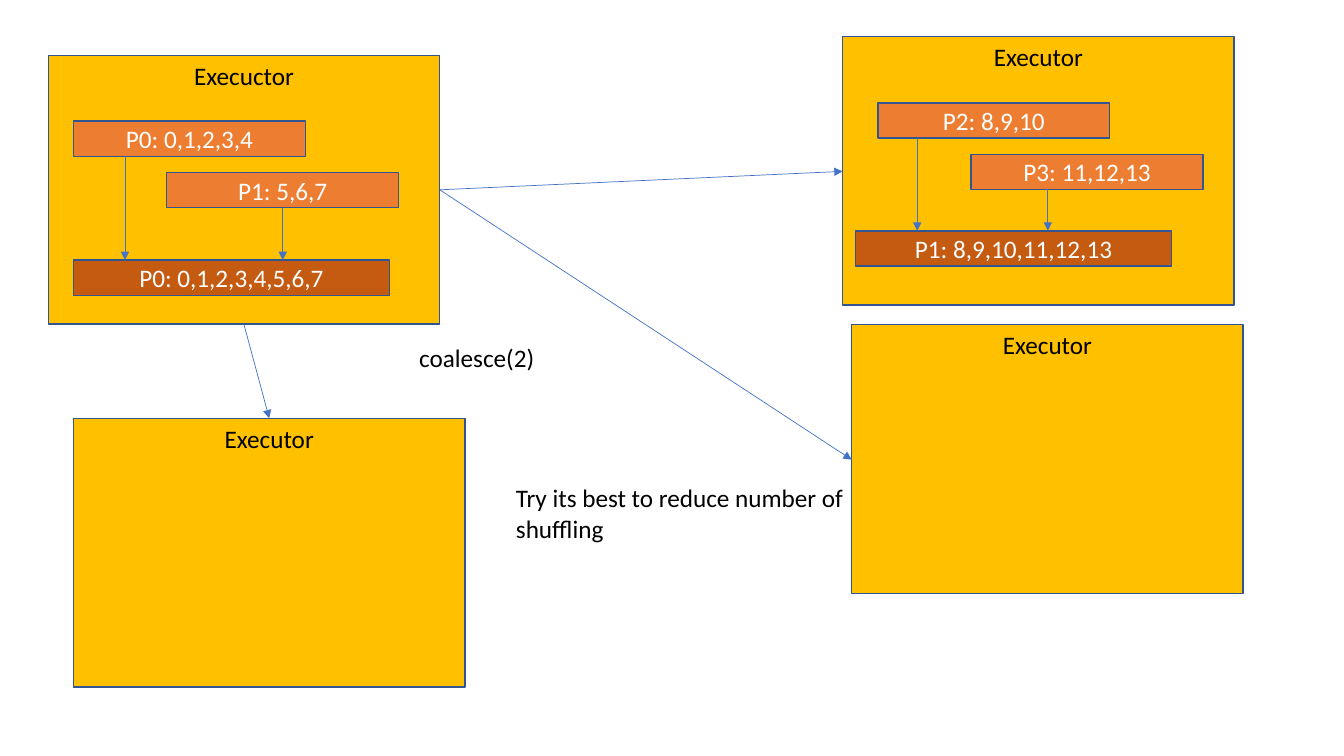
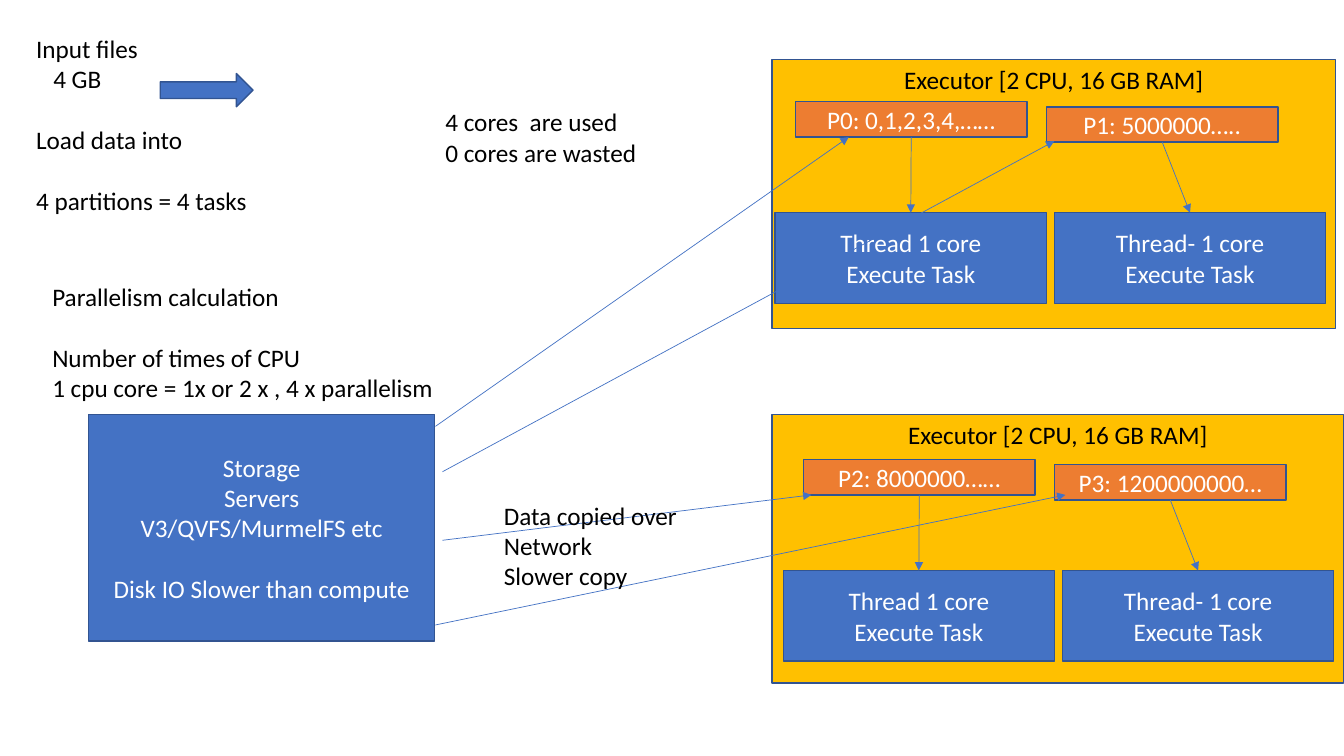
from dataclasses import dataclass

from lxml.etree import SubElement
from pptx import Presentation
from pptx.dml.color import RGBColor
from pptx.enum.shapes import MSO_CONNECTOR, MSO_SHAPE
from pptx.enum.text import MSO_ANCHOR, PP_ALIGN
from pptx.oxml.ns import qn
from pptx.util import Inches, Pt

WIDTH, HEIGHT = Inches(13.333), Inches(7.5)
COLUMN, ROW = WIDTH / 80, HEIGHT / 45
COLORS = {
    "executor": "FFC000",
    "partition": "ED7D31",
    "merged": "C55A11",
    "compute": "4472C4",
    "outline": "325491",
    "flow": "4472C4",
    "dark": "000000",
    "light": "FFFFFF",
}
FONT = {"name": "Calibri", "size": Pt(18)}
BLANK_LINE = 22
EXECUTOR_HEIGHT = 16
SMALL_EXECUTOR = (23.3, EXECUTOR_HEIGHT)
PARTITION = (13.8, 2.1)
MERGED = (18.8, 2.1)
THREAD = (16.15, 5.4)


@dataclass
class Line:
    text: str
    gap: float = 0
    indent: float = 0


def color(role):
    return RGBColor.from_string(COLORS[role])


def apply(target, values):
    for name, value in values.items():
        setattr(target, name, value)


def place(left, top, width, height):
    return (round(left * COLUMN), round(top * ROW),
            round(width * COLUMN), round(height * ROW))


def write(frame, lines, role, align, anchor):
    apply(frame, {"word_wrap": True, "vertical_anchor": anchor})
    for index, line in enumerate(lines):
        line = line if isinstance(line, Line) else Line(line)
        paragraph = frame.paragraphs[0] if index == 0 else frame.add_paragraph()
        apply(paragraph, {"text": line.text, "alignment": align,
                          "space_before": Pt(line.gap)})
        if line.indent:
            paragraph._p.get_or_add_pPr().set("marL", str(Inches(line.indent)))
        for run in paragraph.runs:
            apply(run.font, FONT)
            run.font.color.rgb = color(role)


def block(slide, corner, size, fill, lines=(), text_role="light",
          anchor=MSO_ANCHOR.MIDDLE, preset=MSO_SHAPE.RECTANGLE):
    shape = slide.shapes.add_shape(preset, *place(*corner, *size))
    shape.shadow.inherit = False
    shape.fill.solid()
    shape.fill.fore_color.rgb = color(fill)
    shape.line.color.rgb = color("outline")
    shape.line.width = Pt(1)
    write(shape.text_frame, lines, text_role, PP_ALIGN.CENTER, anchor)


def executor(slide, corner, size, title="Executor"):
    block(slide, corner, size, "executor", [title], "dark", MSO_ANCHOR.TOP)


def note(slide, corner, size, lines):
    frame = slide.shapes.add_textbox(*place(*corner, *size)).text_frame
    write(frame, lines, "dark", PP_ALIGN.LEFT, MSO_ANCHOR.TOP)


def arrow(slide, start, end):
    connector = slide.shapes.add_connector(
        MSO_CONNECTOR.STRAIGHT, *place(*start, *end))
    connector.line.color.rgb = color("flow")
    connector.line.width = Pt(0.5)
    SubElement(connector.line._get_or_add_ln(), qn("a:tailEnd"), type="triangle")
    SubElement(connector._element.spPr, qn("a:effectLst"))


def merging_executor(slide, corner, title, first, merged, labels, drops):
    executor(slide, corner, SMALL_EXECUTOR, title)
    left, top = corner[0] + first[0], corner[1] + first[1]
    merged_top = corner[1] + merged[1]
    block(slide, (corner[0] + merged[0], merged_top), MERGED, "merged", [labels[2]])
    for index, drop in enumerate(drops):
        x, y = left + 5.55 * index, top + 3.06 * index
        block(slide, (x, y), PARTITION, "partition", [labels[index]])
        arrow(slide, (x + drop, y + PARTITION[1]), (x + drop, merged_top))


def threaded_executor(slide, corner, width, first, labels):
    executor(slide, corner, (width, EXECUTOR_HEIGHT), "Executor [2 CPU, 16 GB RAM]")
    for index, thread in enumerate(("Thread 1 core", "Thread- 1 core")):
        x, y = first[0] + 14.94 * index, first[1] + 0.3 * index
        thread_x, thread_y = first[0] - 1.2 + 16.62 * index, first[1] + 6.6
        block(slide, (x, y), PARTITION, "partition", [labels[index]])
        block(slide, (thread_x, thread_y), THREAD, "compute", [thread, "Execute Task"])
        arrow(slide, (x + PARTITION[0] / 2, y + PARTITION[1]),
              (thread_x + THREAD[0] / 2, thread_y))


def coalesce_slide(slide):
    merging_executor(slide, (2.88, 3.3), "Execuctor", (1.5, 3.9), (1.5, 12.18),
                     ("P0: 0,1,2,3,4", "P1: 5,6,7", "P0: 0,1,2,3,4,5,6,7"),
                     (3.06, 6.9))
    merging_executor(slide, (50.16, 2.16), "Executor", (2.1, 3.96), (0.78, 11.58),
                     ("P2: 8,9,10", "P3: 11,12,13", "P1: 8,9,10,11,12,13"),
                     (2.34, 4.56))
    for corner in ((50.7, 19.32), (4.38, 24.9)):
        executor(slide, corner, SMALL_EXECUTOR)
    arrow(slide, (14.52, 19.3), (16.03, 24.9))
    for target in ((50.16, 10.2), (50.7, 27.36)):
        arrow(slide, (26.18, 11.3), target)
    note(slide, (24.36, 20.1), (8.3, 2.4), ["coalesce(2)"])
    note(slide, (30.12, 28.44), (21.3, 4.26),
         ["Try its best to reduce number of", "shuffling"])


def parallelism_slide(slide):
    threaded_executor(slide, (45.96, 3.54), 33.54, (47.34, 6.06),
                      ("P0: 0,1,2,3,4,……", "P1: 5000000….."))
    threaded_executor(slide, (45.96, 24.66), 34.02, (47.82, 27.36),
                      ("P2: 8000000……", "P3: 1200000000…"))
    block(slide, (9.54, 4.38), (5.52, 1.98), "compute", preset=MSO_SHAPE.RIGHT_ARROW)
    block(slide, (5.28, 24.66), (20.6, 13.5), "compute",
          ["Storage\vServers", "V3/QVFS/MurmelFS etc",
           Line("Disk IO Slower than compute", BLANK_LINE)])
    for start, end in (((25.92, 25.38), (50.52, 8.16)),
                       ((26.34, 28.08), (62.76, 8.4)),
                       ((26.34, 32.16), (48.3, 29.46)),
                       ((25.92, 37.2), (63.42, 29.46))):
        arrow(slide, start, end)
    note(slide, (1.56, 1.68), (13.92, 11.52),
         ["Input files", Line("4 GB", indent=0.17),
          Line("Load data into", BLANK_LINE),
          Line("4 partitions = 4 tasks", BLANK_LINE)])
    note(slide, (25.92, 6.06), (13.14, 4.26),
         ["4 cores  are used", "0 cores are wasted"])
    note(slide, (29.4, 29.46), (12, 6.06),
         ["Data copied over", "Network", "Slower copy"])
    note(slide, (2.52, 16.44), (24.12, 7.86),
         ["Parallelism calculation", Line("Number of times of CPU", BLANK_LINE),
          "1 cpu core = 1x or 2 x , 4 x parallelism"])


def main():
    deck = Presentation()
    apply(deck, {"slide_width": WIDTH, "slide_height": HEIGHT})
    for build in (coalesce_slide, parallelism_slide):
        build(deck.slides.add_slide(deck.slide_layouts[6]))
    deck.save("out.pptx")


main()
